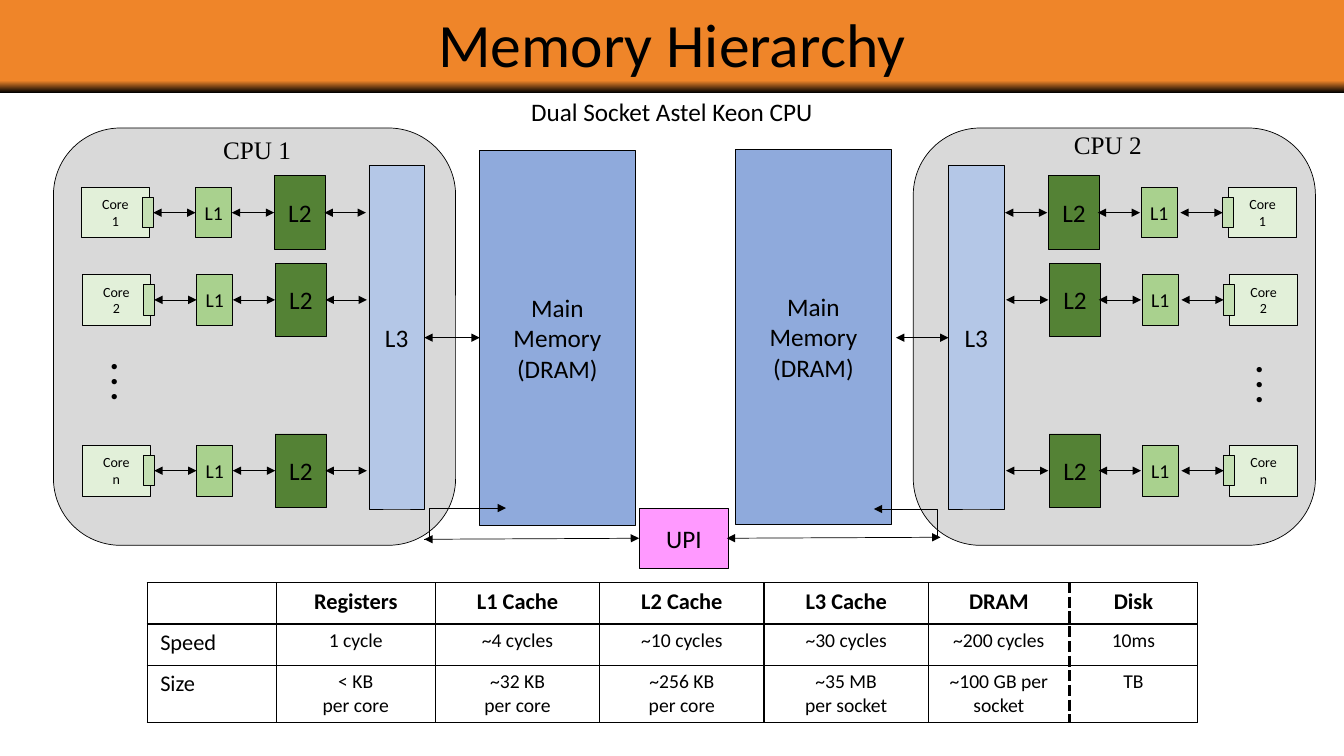
"""Builds a slide on the memory hierarchy of a dual socket machine."""
import dataclasses
import lxml.etree
import pptx
import pptx.dml.color
import pptx.enum.shapes
import pptx.enum.text
import pptx.oxml.ns
import pptx.util


@dataclasses.dataclass(frozen=True)
class Theme:
    ink: str = "000000"
    paper: str = "FFFFFF"
    band: str = "EF8529"
    chip: str = "D9D9D9"
    dram: str = "8FAADC"
    core: str = "E2F0D9"
    reg: str = "C5E0B4"
    one: str = "A9D18E"
    two: str = "548235"
    three: str = "B4C7E7"
    link: str = "FF99FF"
    sans: str = "Calibri"
    serif: str = "Times New Roman"
    title: int = 44
    dots: int = 32
    body: int = 18
    head: int = 16
    small: int = 14
    tiny: int = 10
    thin: float = 0.5


theme = Theme()
RGB = pptx.dml.color.RGBColor.from_string
kinds = pptx.enum.shapes.MSO_SHAPE
lines = pptx.enum.shapes.MSO_CONNECTOR
aligns = pptx.enum.text.PP_ALIGN
middle = pptx.enum.text.MSO_ANCHOR.MIDDLE
qn = pptx.oxml.ns.qn
add = lxml.etree.SubElement
cell = pptx.util.Inches(0.1)
wide, high = 133.33, 75

deck = pptx.Presentation()
deck.slide_width, deck.slide_height = int(wide * cell), int(high * cell)
slide = deck.slides.add_slide(deck.slide_layouts[6])
shapes = slide.shapes


def write(frame, text, size=theme.body, font=theme.sans, bold=False,
          align=aligns.CENTER, lead=None, pad=None, anchor=None):
    frame.word_wrap = True
    if anchor is not None:
        frame.vertical_anchor = anchor
    if pad is not None:
        frame.margin_left = frame.margin_right = pad
    for i, words in enumerate(text.split("\n")):
        para = frame.add_paragraph() if i else frame.paragraphs[0]
        para.alignment = align
        if lead:
            para.line_spacing = lead
        run = para.add_run()
        run.text = words
        run.font.size, run.font.name = pptx.util.Pt(size), font
        run.font.bold, run.font.color.rgb = bold, RGB(theme.ink)


def box(x, y, w, h, fill, kind=kinds.RECTANGLE):
    shape = shapes.add_shape(kind, *(int(v * cell) for v in (x, y, w, h)))
    shape.shadow.inherit = False
    shape.fill.solid()
    shape.fill.fore_color.rgb = RGB(fill)
    shape.line.color.rgb = RGB(theme.ink)
    shape.line.width = pptx.util.Pt(theme.thin)
    return shape


banner = box(0, 0, wide, 9.2, theme.band)
banner.line.fill.background()
banner.fill.gradient()
banner.fill.gradient_angle = 90
for stop, (place, hue) in zip(banner.fill.gradient_stops,
                              [(0, theme.ink), (0.13, theme.band)]):
    stop.position, stop.color.rgb = place, RGB(hue)

arrows = [(42.1, 33.5, 47.6, 33.5, None), (88.9, 33.5, 94.1, 33.5, None),
          (42.1, 53.5, 63.4, 53.4, None), (72.1, 53.4, 93.3, 53.3, None),
          (93.3, 53.3, 86.7, 50.5, 4100), (42.1, 53.5, 50.2, 50.4, 5800)]

sides = [
    dict(chip=5.3, dram=(47.6, 14.9), core=8.1, reg=14.1, one=19.4, two=27.2,
         three=36.6, gaps=[(15.2, 19.4), (23, 27.2), (32.2, 36.3)]),
    dict(chip=90.6, dram=(73, 14.8), core=121.9, reg=121.3, one=113.2, two=104,
         three=94.1, gaps=[(117.1, 121.3), (108.9, 113.1), (99.7, 103.9)]),
]
ranks = [("1", 21.1, 0), ("2", 29.75, 0.1), ("n", 46.7, 0.1)]

for side in sides:
    box(side["chip"], 12.7, 39.9, 41.4, theme.chip, kinds.ROUNDED_RECTANGLE)
    store = box(*side["dram"], 15.4, 37.2, theme.dram)
    write(store.text_frame, "Main Memory (DRAM)", anchor=middle)
    cache = box(side["three"], 16.4, 5.5, 34.1, theme.three)
    write(cache.text_frame, "L3", pad=0, anchor=middle)
    for name, mid, nudge in ranks:
        core = box(side["core"] + nudge, mid - 2.5, 6.7, 5, theme.core)
        write(core.text_frame, f"Core\n{name}", size=theme.tiny, anchor=middle)
        box(side["reg"] + nudge, mid - 1.5, 1.1, 3, theme.reg)
        first = box(side["one"] + nudge, mid - 2.5, 3.6, 5, theme.one)
        write(first.text_frame, "L1", size=theme.small, pad=0, anchor=middle)
        second = box(side["two"] + nudge, mid - 3.65, 5.1, 7.3, theme.two)
        write(second.text_frame, "L2", pad=0, anchor=middle)
        arrows += [(a + nudge, mid, b + nudge, mid, None)
                   for a, b in side["gaps"]]

bridge = box(63.4, 50.4, 8.9, 6, theme.link)
write(bridge.text_frame, "UPI", anchor=middle)

for x1, y1, x2, y2, bend in arrows:
    ends = (int(v * cell) for v in (x1, y1, x2, y2))
    arrow = shapes.add_connector(lines.ELBOW if bend else lines.STRAIGHT, *ends)
    arrow.line.color.rgb = RGB(theme.ink)
    arrow.line.width = pptx.util.Pt(theme.thin)
    props = arrow.element.spPr
    for tip in ["tailEnd"] if bend else ["headEnd", "tailEnd"]:
        add(props.find(qn("a:ln")), qn(f"a:{tip}"), type="triangle")
    add(props, qn("a:effectLst"))
    if bend:
        guides = props.find(qn("a:prstGeom")).find(qn("a:avLst"))
        add(guides, qn("a:gd"), name="adj1", fmla=f"val {bend}")

dots = dict(size=theme.dots, font=theme.serif)
labels = [
    (0, 0.1, wide, 9.2, 0, "Memory Hierarchy",
     dict(size=theme.title, lead=0.9, anchor=middle)),
    (44, 9.1, 45.3, 4, 0, "Dual Socket Astel Keon CPU", {}),
    (5.8, 12.8, 39.4, 4, 0, "CPU 1", dict(font=theme.serif)),
    (90.2, 12.3, 39.4, 4, 0, "CPU 2", dict(font=theme.serif)),
    (6.2, 34.3, 7.2, 6.4, 270, "…", dict(align=aligns.LEFT, **dots)),
    (119.7, 35.5, 7.4, 6.4, 270, "…", dict(align=aligns.RIGHT, **dots)),
]
for x, y, w, h, turn, words, look in labels:
    label = shapes.add_textbox(*(int(v * cell) for v in (x, y, w, h)))
    label.rotation = turn
    write(label.text_frame, words, **look)

facts = [
    ["", "Registers", "L1 Cache", "L2 Cache", "L3 Cache", "DRAM", "Disk"],
    ["Speed", "1 cycle", "~4 cycles", "~10 cycles", "~30 cycles",
     "~200 cycles", "10ms"],
    ["Size", "< KB\nper core", "~32 KB\nper core", "~256 KB\nper core",
     "~35 MB\nper socket", "~100 GB per socket", "TB"],
]
cols, rows = [12.8, 15.8, 16.3, 16.3, 16.3, 14, 12.7], [4.1, 4.1, 5.6]
place = (int(v * cell) for v in (14.6, 57.8, sum(cols), sum(rows)))
table = shapes.add_table(len(rows), len(cols), *place).table
table.first_row = table.horz_banding = False
for col, w in zip(table.columns, cols):
    col.width = int(w * cell)
for r, row in enumerate(facts):
    table.rows[r].height = int(rows[r] * cell)
    for c, words in enumerate(row):
        slot = table.cell(r, c)
        key = r == 0 or c == 0
        slot.margin_left = slot.margin_right = int((1.3 if key else 0.7) * cell)
        if words:
            write(slot.text_frame, words, bold=r == 0,
                  size=theme.head if key else theme.small,
                  align=aligns.CENTER if c else aligns.LEFT)
        props = slot._tc.get_or_add_tcPr()
        for edge in "LRTB":
            dash = (c, edge) in [(5, "R"), (6, "L")]
            width = pptx.util.Pt(2.25 if dash else 1)
            rule = add(props, qn(f"a:ln{edge}"), w=str(width))
            add(add(rule, qn("a:solidFill")), qn("a:srgbClr"), val=theme.ink)
            add(rule, qn("a:prstDash"), val="sysDash" if dash else "solid")
        slot.fill.solid()
        slot.fill.fore_color.rgb = RGB(theme.paper)

deck.save("out.pptx")
